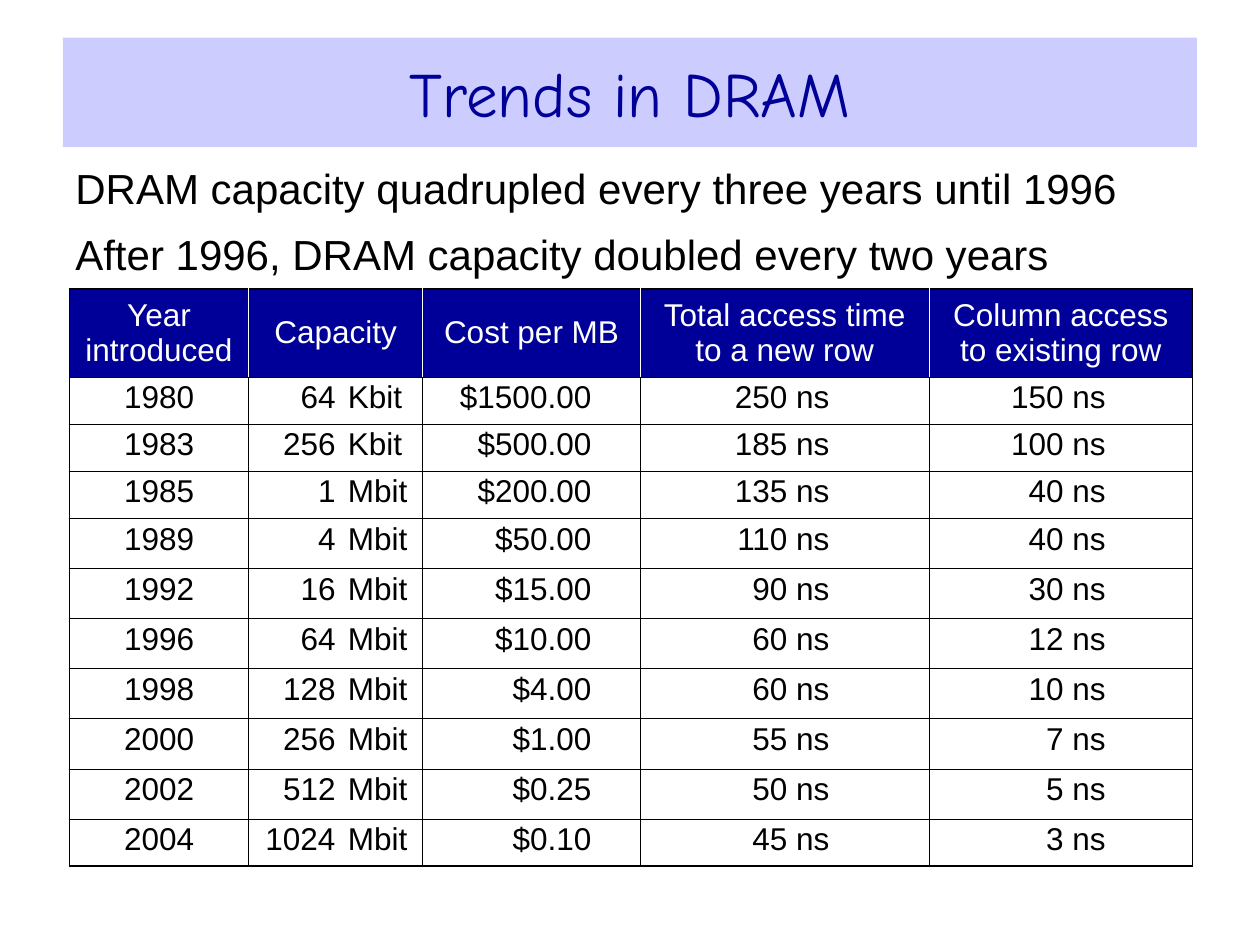
from pptx import Presentation
from pptx.dml.color import RGBColor
from pptx.enum.shapes import MSO_SHAPE
from pptx.enum.text import MSO_ANCHOR as Anchor, PP_ALIGN as Align
from pptx.oxml.ns import qn
from pptx.util import Cm, Pt
from lxml.etree import SubElement

NAVY = RGBColor(0x00, 0x00, 0x99)
LAVENDER = RGBColor(0xCC, 0xCC, 0xFF)
BLACK = RGBColor(0x00, 0x00, 0x00)
WHITE = RGBColor(0xFF, 0xFF, 0xFF)

TRENDS = [
    "DRAM capacity quadrupled every three years until 1996",
    "After 1996, DRAM capacity doubled every two years",
]
HEADINGS = ["Year introduced", "Capacity", "Cost per MB",
            "Total access time to a new row", "Column access to existing row"]
GENERATIONS = [
    ("1980", "\t64\tKbit", "$1500.00", "250 ns", "150 ns"),
    ("1983", "\t256\tKbit", "$500.00", "185 ns", "100 ns"),
    ("1985", "\t1\tMbit", "$200.00", "135 ns", "40 ns"),
    ("1989", "\t4\tMbit", "$50.00", "110 ns", "40 ns"),
    ("1992", "\t16\tMbit", "$15.00", "90 ns", "30 ns"),
    ("1996", "\t64\tMbit", "$10.00", "60 ns", "12 ns"),
    ("1998", "\t128\tMbit", "$4.00", "60 ns", "10 ns"),
    ("2000", "\t256\tMbit", "$1.00", "55 ns", "7 ns"),
    ("2002", "\t512\tMbit", "$0.25", "50 ns", "5 ns"),
    ("2004", "\t1024\tMbit", "$0.10", "45 ns", "3 ns"),
]
COLUMN_WIDTHS = [3.61, 3.51, 4.39, 5.82, 5.31]
ROW_HEIGHTS = [1.78] + [0.95] * 3 + [1.01] * 6 + [0.95]
COLUMN_ALIGNS = [Align.CENTER, Align.LEFT, Align.RIGHT, Align.RIGHT, Align.RIGHT]
RIGHT_MARGINS = [0.25, 0.25, 0.99, 2.01, 1.75]
CAPACITY_TABS = [(1.5, "r"), (1.75, "l")]


class DramSlide:
    """Holds the fonts and the current slide, and draws each kind of element."""

    title_font = "Comic Neue"
    text_font = "Arial"
    inner_line = Pt(0.45)
    outer_line = Pt(1.08)

    def __init__(self, deck):
        self.slide = deck.slides.add_slide(deck.slide_layouts[6])

    def style(self, paragraph, size, color, align, name=text_font):
        paragraph.alignment = align
        font = paragraph.font
        font.name, font.size, font.color.rgb = name, Pt(size), color

    def banner(self, text, left, top, width, height):
        banner = self.slide.shapes.add_shape(
            MSO_SHAPE.RECTANGLE, Cm(left), Cm(top), Cm(width), Cm(height))
        banner.shadow.inherit = False
        banner.fill.solid()
        banner.fill.fore_color.rgb = LAVENDER
        banner.line.fill.background()
        frame = banner.text_frame
        frame.text = text
        frame.vertical_anchor = Anchor.MIDDLE
        self.style(frame.paragraphs[0], 36, NAVY, Align.CENTER, self.title_font)

    def statements(self, lines, left, top, width, height):
        frame = self.slide.shapes.add_textbox(
            Cm(left), Cm(top), Cm(width), Cm(height)).text_frame
        frame.word_wrap = True
        frame.margin_top = Cm(0.2)
        frame.text = "\n".join(lines)
        for paragraph in frame.paragraphs:
            self.style(paragraph, 24, BLACK, Align.LEFT)
        for paragraph in frame.paragraphs[1:]:
            paragraph.space_before = Pt(9)

    def border(self, cell, side, color, width):
        line = SubElement(cell._tc.get_or_add_tcPr(), qn(f"a:ln{side}"), w=str(width))
        fill = SubElement(line, qn("a:solidFill"))
        SubElement(fill, qn("a:srgbClr"), val=str(color))

    def tabs(self, paragraph, stops):
        tab_list = SubElement(paragraph._p.get_or_add_pPr(), qn("a:tabLst"))
        for position, align in stops:
            SubElement(tab_list, qn("a:tab"), pos=str(Cm(position)), algn=align)

    def borders(self, cell, row, column, last_row, last_column):
        divider = WHITE if row == 0 else BLACK
        edges = [("L", column == 0, divider), ("R", column == last_column, divider),
                 ("T", row == 0, BLACK), ("B", row == last_row, BLACK)]
        for side, outer, color in edges:
            self.border(cell, side, BLACK if outer else color,
                        self.outer_line if outer else self.inner_line)

    def heading_cell(self, cell, text):
        cell.fill.solid()
        cell.fill.fore_color.rgb = NAVY
        cell.vertical_anchor = Anchor.MIDDLE
        cell.text = text
        self.style(cell.text_frame.paragraphs[0], 18, WHITE, Align.CENTER)

    def value_cell(self, cell, text, column):
        cell.fill.background()
        cell.margin_right = Cm(RIGHT_MARGINS[column])
        cell.text = text
        value = cell.text_frame.paragraphs[0]
        value.line_spacing = 0.9
        if "\t" in text:
            self.tabs(value, CAPACITY_TABS)
        self.style(value, 18, BLACK, COLUMN_ALIGNS[column])

    def table(self, rows, left, top):
        table = self.slide.shapes.add_table(
            len(rows), len(COLUMN_WIDTHS), Cm(left), Cm(top),
            Cm(sum(COLUMN_WIDTHS)), Cm(sum(ROW_HEIGHTS))).table
        table.first_row = table.horz_banding = False
        for column, width in zip(table.columns, COLUMN_WIDTHS):
            column.width = Cm(width)
        for row, height in zip(table.rows, ROW_HEIGHTS):
            row.height = Cm(height)
        for r, texts in enumerate(rows):
            for c, text in enumerate(texts):
                cell = table.cell(r, c)
                self.borders(cell, r, c, len(rows) - 1, len(texts) - 1)
                if r == 0:
                    self.heading_cell(cell, text)
                else:
                    self.value_cell(cell, text, c)


def main():
    deck = Presentation()
    deck.slide_width, deck.slide_height = Cm(25.4), Cm(19.05)
    dram = DramSlide(deck)
    dram.banner("Trends in DRAM", 1.27, 0.76, 22.86, 2.21)
    dram.statements(TRENDS, 1.27, 3.07, 22.86, 2.64)
    dram.table([HEADINGS] + GENERATIONS, 1.4, 5.82)
    deck.save("out.pptx")


if __name__ == "__main__":
    main()
